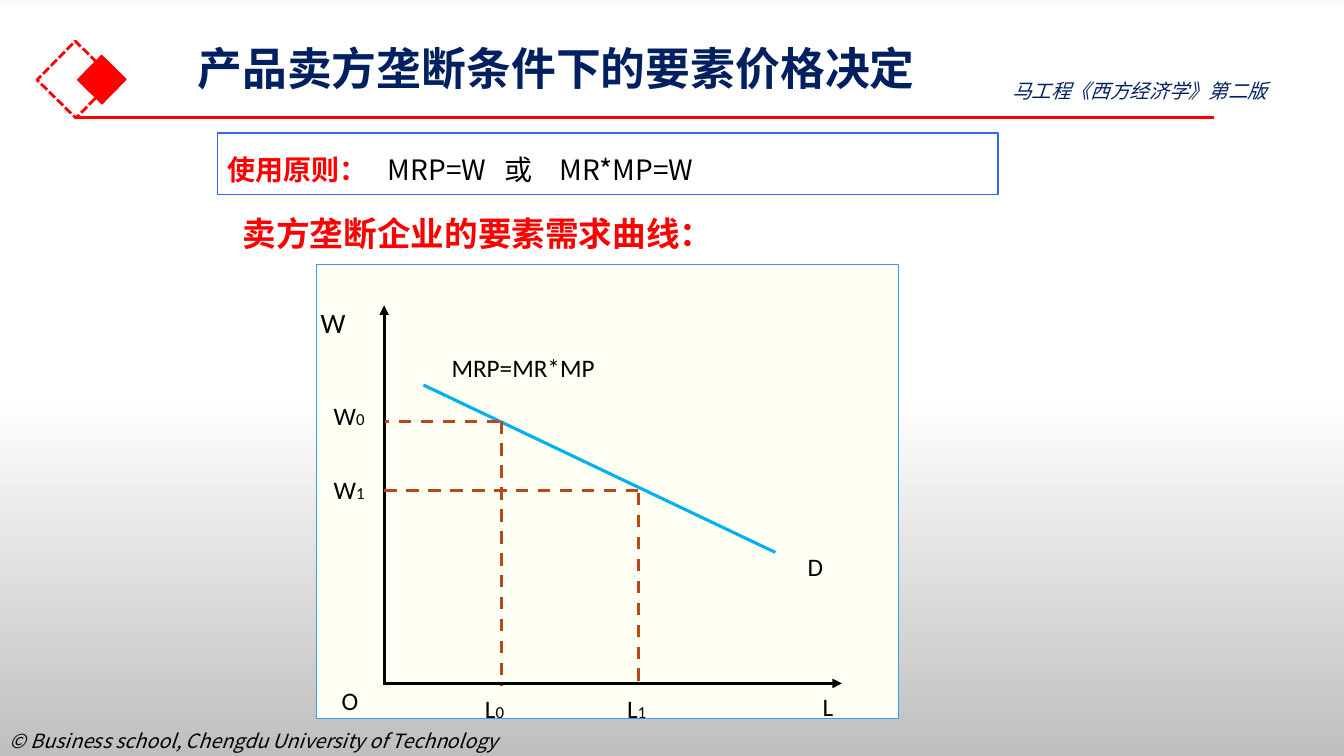
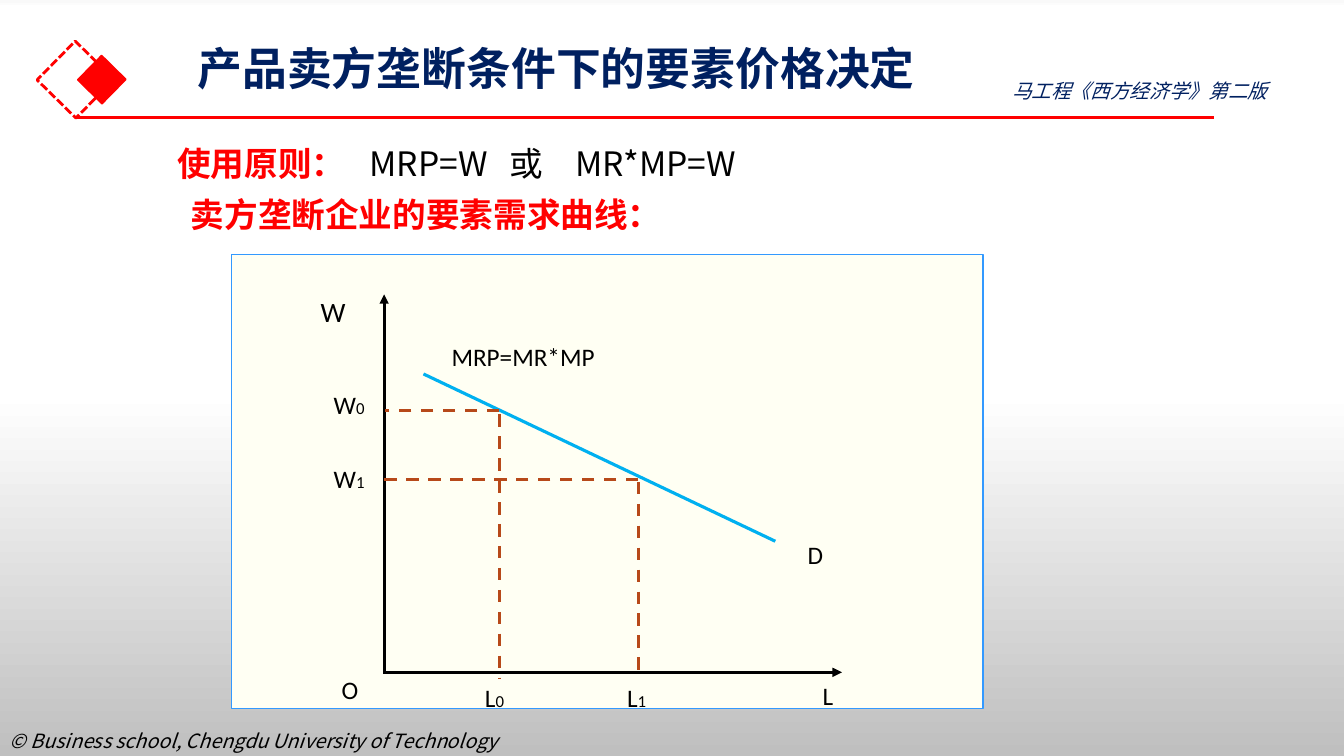
"""Builds two slides on factor pricing and factor demand under a seller monopoly."""
from dataclasses import dataclass

from lxml import etree
from pptx import Presentation
from pptx.dml.color import RGBColor
from pptx.enum.dml import MSO_LINE
from pptx.enum.shapes import MSO_CONNECTOR, MSO_SHAPE
from pptx.enum.text import MSO_ANCHOR, PP_ALIGN
from pptx.oxml.ns import qn
from pptx.util import Inches, Pt

RECTANGLE = MSO_SHAPE.RECTANGLE
STRAIGHT = MSO_CONNECTOR.STRAIGHT
DASH, SHORT_DASH = MSO_LINE.DASH, MSO_LINE.SQUARE_DOT
TOP, MIDDLE = MSO_ANCHOR.TOP, MSO_ANCHOR.MIDDLE
LEFT, CENTER = PP_ALIGN.LEFT, PP_ALIGN.CENTER


@dataclass(frozen=True)
class Theme:
    """Colours, fonts and type sizes of the deck."""
    navy: str = "002060"
    red: str = "FF0000"
    black: str = "000000"
    panel: str = "FFFFF3"
    panel_edge: str = "3399FF"
    frame: str = "3366FF"
    curve: str = "00B0F0"
    guide: str = "B74919"
    text_font: str = "Noto Sans CJK SC"
    graph_font: str = "Calibri"
    title: int = 32
    heading: int = 24
    axis: int = 20
    label: int = 18
    note: int = 14
    subscript: int = 12
    stroke: float = 2.25


THEME = Theme()
BACKGROUND = [(0, "F9F9F9"), (1, "FFFFFF"), (52, "FFFFFF"), (100, "BFBFBF")]

TITLE = "产品卖方垄断条件下的要素价格决定"
BOOK = "马工程《西方经济学》第二版"
FOOTER = "© Business school, Chengdu University of Technology"
RULE_NAME = "使用原则："
RULE_FORMULA = "\tMRP=W\t或\tMR*MP=W"
RULE_TABS_PER_POINT = (0.0795, 0.1375, 0.1645)
HEADING = "卖方垄断企业的要素需求曲线："

SLIDES = [
    {"panel": (3.14, 2.62, 5.77, 4.51), "rule": (2.16, 1.3, 6.97, 1.05), "rule_size": 20,
     "heading": (2.16, 2.06, 4.83, 0.5), "frame": (2.16, 1.32, 7.74, 0.61),
     "shift": 0, "first_guide": (4.97, 4.18, 6.8)},
    {"panel": (2.3, 2.52, 7.45, 4.51), "rule": (1.66, 1.17, 6.97, 1.24), "rule_size": 24,
     "heading": (1.75, 1.87, 4.62, 0.5), "frame": None,
     "shift": -0.11, "first_guide": (4.95, 4.22, 6.84)},
]

AXES = [((3.81, 6.78), (3.81, 3.03)), ((3.8, 6.78), (8.35, 6.78))]
CURVE = ((4.2, 3.82), (7.69, 5.48))
GUIDES = [((4.95, 4.18), (3.82, 4.18)), ((6.33, 4.87), (3.78, 4.87)),
          ((6.33, 4.89), (6.33, 6.8))]
LABEL_TEXT_WIDTH = 0.34
GRAPH_LABELS = [
    ("W", "", THEME.axis, (3.15, 2.95, 0.37, 0.5)),
    ("L", "", THEME.label, (8.13, 6.76, 0.37, 0.5)),
    ("O", "", THEME.label, (3.36, 6.7, 0.37, 0.5)),
    ("D", "", THEME.label, (7.88, 5.36, 0.47, 0.51)),
    ("W", "1", THEME.label, (2.98, 4.55, 0.67, 0.61)),
    ("W", "0", THEME.label, (2.98, 3.82, 0.67, 0.61)),
    ("L", "0", THEME.label, (4.48, 6.72, 0.67, 0.61)),
    ("L", "1", THEME.label, (5.89, 6.72, 0.67, 0.61)),
]
CURVE_LABEL = ("MRP=MR*MP", (4.38, 3.45, 1.69, 0.4))


def color(value):
    """Turns a hex string into a colour."""
    return RGBColor.from_string(value)


def lengths(values):
    """Turns inch numbers into lengths."""
    return [Inches(value) for value in values]


def moved(area, shift):
    """Moves an area down by a number of inches."""
    left, top, width, height = area
    return left, top + shift, width, height


def run(text, size, ink=THEME.black, font=THEME.text_font, bold=False, italic=False):
    """Describes one run of text."""
    return {"text": text, "size": size, "ink": ink, "font": font,
            "bold": bold, "italic": italic}


def add_text(slide, area, runs, anchor=TOP, align=LEFT, spacing=None,
             insets=(0.1, 0.1, 0.05)):
    """Adds a text box of one paragraph, with left, right and vertical insets."""
    frame = slide.shapes.add_textbox(*lengths(area)).text_frame
    frame.word_wrap = True
    frame.vertical_anchor = anchor
    left, right, vertical = lengths(insets)
    frame.margin_left, frame.margin_right = left, right
    frame.margin_top = frame.margin_bottom = vertical
    para = frame.paragraphs[0]
    para.alignment = align
    para.line_spacing = spacing
    for item in runs:
        span = para.add_run()
        span.text = item["text"]
        font = span.font
        font.name, font.size = item["font"], Pt(item["size"])
        font.bold, font.italic = item["bold"], item["italic"]
        font.color.rgb = color(item["ink"])
        properties = span._r.get_or_add_rPr()
        etree.SubElement(properties, qn("a:ea"), typeface=item["font"])
    return para


def set_tabs(para, positions):
    """Gives a paragraph left tab stops at inch positions."""
    stops = etree.SubElement(para._p.get_or_add_pPr(), qn("a:tabLst"))
    for position in positions:
        etree.SubElement(stops, qn("a:tab"), pos=str(Inches(position)), algn="l")


def add_box(slide, area, edge, weight, fill=None, dash=None, rotation=0):
    """Adds a rectangle."""
    box = slide.shapes.add_shape(RECTANGLE, *lengths(area))
    box.shadow.inherit = False
    box.rotation = rotation
    if fill:
        box.fill.solid()
        box.fill.fore_color.rgb = color(fill)
    else:
        box.fill.background()
    box.line.color.rgb = color(edge)
    box.line.width = Pt(weight)
    if dash:
        box.line.dash_style = dash


def add_line(slide, ends, ink, shift=0, dash=None, arrow=False):
    """Adds a straight line, with an arrowhead at its end if asked."""
    (x1, y1), (x2, y2) = ends
    points = lengths((x1, y1 + shift, x2, y2 + shift))
    line = slide.shapes.add_connector(STRAIGHT, *points)
    line.line.color.rgb = color(ink)
    line.line.width = Pt(THEME.stroke)
    if dash:
        line.line.dash_style = dash
    if arrow:
        etree.SubElement(line.line._get_or_add_ln(), qn("a:tailEnd"), type="triangle")
    etree.SubElement(line._element.spPr, qn("a:effectLst"))


def set_background(master):
    """Gives the master its vertical gradient."""
    fill = master.background.fill
    fill.gradient()
    fill.gradient_angle = 270
    stops = master.element.find(".//" + qn("a:gsLst"))
    for stop in list(stops):
        stops.remove(stop)
    for percent, value in BACKGROUND:
        stop = etree.SubElement(stops, qn("a:gs"), pos=str(percent * 1000))
        etree.SubElement(stop, qn("a:srgbClr"), val=value)


def add_furniture(slide):
    """Adds the footer, ornament, title and book name."""
    add_text(slide, (0, 7.18, 5.31, 0.34), [run(FOOTER, THEME.note, italic=True)])
    add_box(slide, (0.48, 0.52, 0.54, 0.54), THEME.red, 2, dash=SHORT_DASH, rotation=314.5)
    add_box(slide, (0.84, 0.62, 0.34, 0.34), THEME.red, 1, fill=THEME.red, rotation=314.5)
    add_line(slide, ((0.75, 1.17), (12.04, 1.17)), THEME.red)
    add_text(slide, (1.86, 0.4, 11.4, 0.6), [run(TITLE, THEME.title, THEME.navy, bold=True)],
             anchor=MIDDLE, spacing=0.9, insets=(0.1, 0.1, 0))
    add_text(slide, (9.94, 0.73, 3.24, 0.34), [run(BOOK, THEME.note, THEME.navy, italic=True)])


def add_principle(slide, content):
    """Adds the rule of use and the heading above the graph."""
    size = content["rule_size"]
    para = add_text(slide, content["rule"],
                    [run(RULE_NAME, size, THEME.red, bold=True), run(RULE_FORMULA, size)],
                    spacing=1.5)
    set_tabs(para, [size * factor for factor in RULE_TABS_PER_POINT])
    add_text(slide, content["heading"], [run(HEADING, THEME.heading, THEME.red, bold=True)],
             align=CENTER)
    if content["frame"]:
        add_box(slide, content["frame"], THEME.frame, 1)


def add_graph(slide, shift, first_guide):
    """Adds the demand curve with its axes, guides and labels."""
    for axis in AXES:
        add_line(slide, axis, THEME.black, shift, arrow=True)
    add_line(slide, CURVE, THEME.curve, shift)
    x, top, bottom = first_guide
    for guide in GUIDES + [((x, top), (x, bottom))]:
        add_line(slide, guide, THEME.guide, shift, dash=DASH)
    for letter, index, size, area in GRAPH_LABELS:
        runs = [run(letter, size, font=THEME.graph_font)]
        if index:
            runs.append(run(index, THEME.subscript, font=THEME.graph_font))
        indent = area[2] - LABEL_TEXT_WIDTH
        add_text(slide, moved(area, shift), runs, anchor=MIDDLE, insets=(indent, 0, 0.05))
    text, area = CURVE_LABEL
    add_text(slide, moved(area, shift), [run(text, THEME.label, font=THEME.graph_font)])


def main():
    """Builds and saves the deck."""
    deck = Presentation()
    deck.slide_width, deck.slide_height = Inches(13.33), Inches(7.5)
    set_background(deck.slide_master)
    for content in SLIDES:
        slide = deck.slides.add_slide(deck.slide_layouts[6])
        add_box(slide, content["panel"], THEME.panel_edge, 0.75, fill=THEME.panel)
        add_furniture(slide)
        add_principle(slide, content)
        add_graph(slide, content["shift"], content["first_guide"])
    deck.save("out.pptx")


if __name__ == "__main__":
    main()
